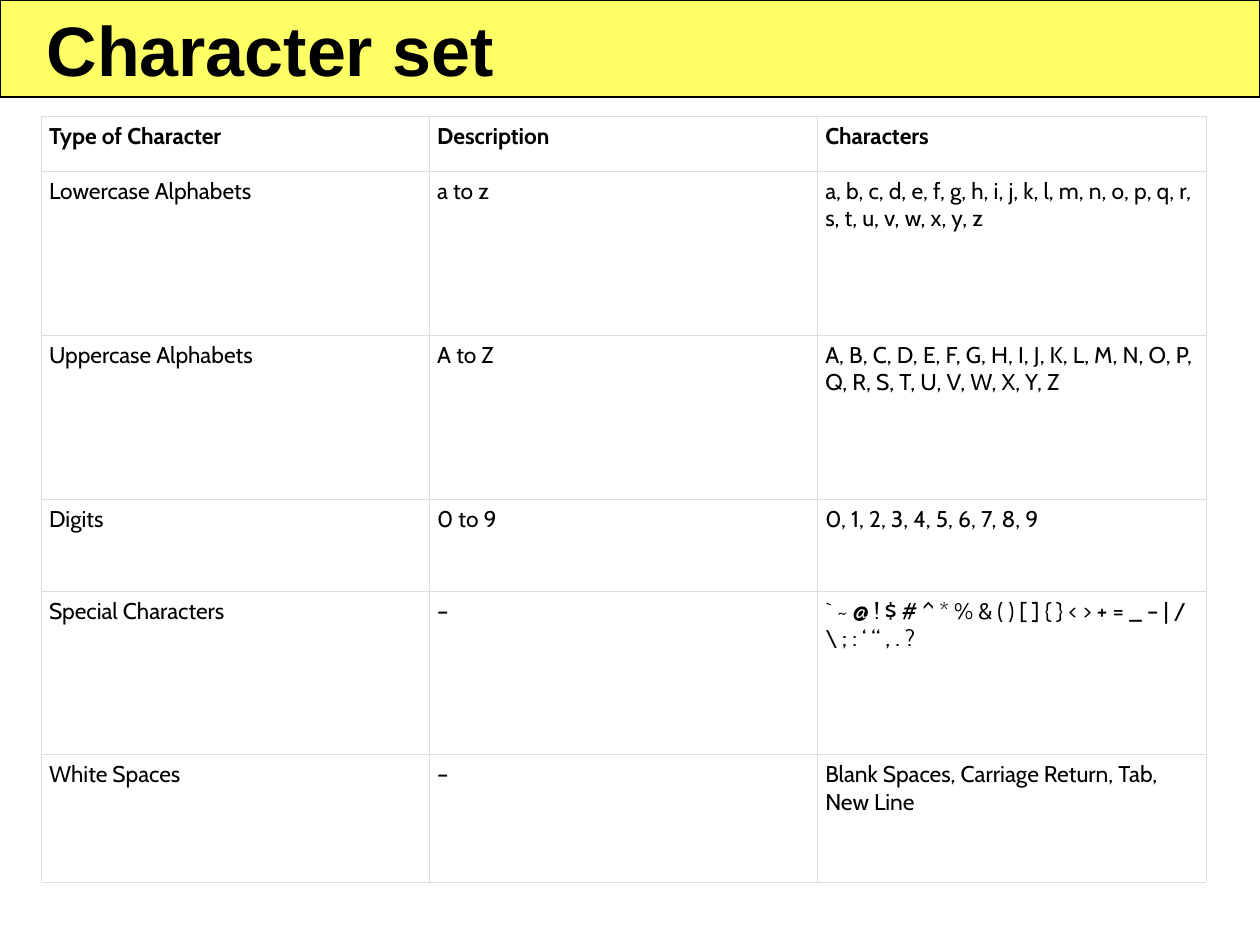
from pptx import Presentation
from pptx.dml.color import RGBColor
from pptx.enum.shapes import MSO_SHAPE as Shape
from pptx.enum.text import MSO_ANCHOR as Anchor, MSO_AUTO_SIZE as Fit, PP_ALIGN as Align
from pptx.oxml import parse_xml
from pptx.oxml.ns import nsdecls
from pptx.util import Inches, Pt

BLACK = RGBColor(0x00, 0x00, 0x00)
WHITE = RGBColor(0xFF, 0xFF, 0xFF)
YELLOW = RGBColor(0xFF, 0xFF, 0x66)
GREY = RGBColor(0xDD, 0xDD, 0xDD)

WIDTH = 3.08
HEIGHTS = [0.44, 1.3, 1.3, 0.73, 1.3, 1.01]
ROWS = [
    ("Type of Character", "Description", "Characters"),
    ("Lowercase Alphabets", "a to z",
     "a, b, c, d, e, f, g, h, i, j, k, l, m, n, o, p, q, r, s, t, u, v, w, x, y, z"),
    ("Uppercase Alphabets", "A to Z",
     "A, B, C, D, E, F, G, H, I, J, K, L, M, N, O, P, Q, R, S, T, U, V, W, X, Y, Z"),
    ("Digits", "0 to 9", "0, 1, 2, 3, 4, 5, 6, 7, 8, 9"),
    ("Special Characters", "–",
     "` ~ @ ! $ # ^ * % & ( ) [ ] { } < > + = _ – | / \\ ; : ‘ “ , . ?"),
    ("White Spaces", "–", "Blank Spaces, Carriage Return, Tab, New Line"),
]


def set_font(para, name, size, bold):
    font = para.font
    font.name, font.size, font.bold = name, Pt(size), bold
    font.color.rgb = BLACK


def add_bar(slide):
    bar = slide.shapes.add_shape(Shape.RECTANGLE, 0, 0, Inches(10), Inches(0.77))
    bar.shadow.inherit = False
    bar.fill.solid()
    bar.fill.fore_color.rgb = YELLOW
    bar.line.color.rgb = BLACK
    bar.line.width = Pt(0.75)
    slide.shapes.title.element.addprevious(bar.element)


def set_title(slide, text):
    title = slide.shapes.title
    title.left, title.top = Inches(0.27), Inches(0)
    title.width, title.height = Inches(3.75), Inches(0.77)
    frame = title.text_frame
    frame.text = text
    frame.word_wrap = False
    frame.auto_size = Fit.SHAPE_TO_FIT_TEXT
    frame.vertical_anchor = Anchor.MIDDLE
    para = frame.paragraphs[0]
    para.alignment = Align.LEFT
    set_font(para, "Arial", 40, True)


def set_edges(cell):
    props = cell._tc.get_or_add_tcPr()
    for side in "LRTB":
        props.append(parse_xml(
            f'<a:ln{side} {nsdecls("a")} w="{Pt(0.34)}"><a:solidFill>'
            f'<a:srgbClr val="{GREY}"/></a:solidFill></a:ln{side}>'))


def fill_cell(cell, text, bold):
    cell.text = text
    cell.margin_left = cell.margin_right = Inches(0.06)
    cell.margin_top = cell.margin_bottom = Inches(0.05)
    set_edges(cell)
    cell.fill.solid()
    cell.fill.fore_color.rgb = WHITE
    set_font(cell.text_frame.paragraphs[0], "Cabin", 13, bold)


def add_grid(slide):
    cols = len(ROWS[0])
    grid = slide.shapes.add_table(
        len(ROWS), cols, Inches(0.33), Inches(0.92),
        Inches(WIDTH * cols), Inches(sum(HEIGHTS))).table
    grid.first_row = grid.horz_banding = False
    for col in grid.columns:
        col.width = Inches(WIDTH)
    for r, (row, high) in enumerate(zip(ROWS, HEIGHTS)):
        grid.rows[r].height = Inches(high)
        for c, text in enumerate(row):
            fill_cell(grid.cell(r, c), text, r == 0)


def main():
    deck = Presentation()
    deck.slide_width, deck.slide_height = Inches(10), Inches(7.5)
    slide = deck.slides.add_slide(deck.slide_layouts[5])
    add_bar(slide)
    set_title(slide, "Character set")
    add_grid(slide)
    deck.save("out.pptx")


if __name__ == "__main__":
    main()
